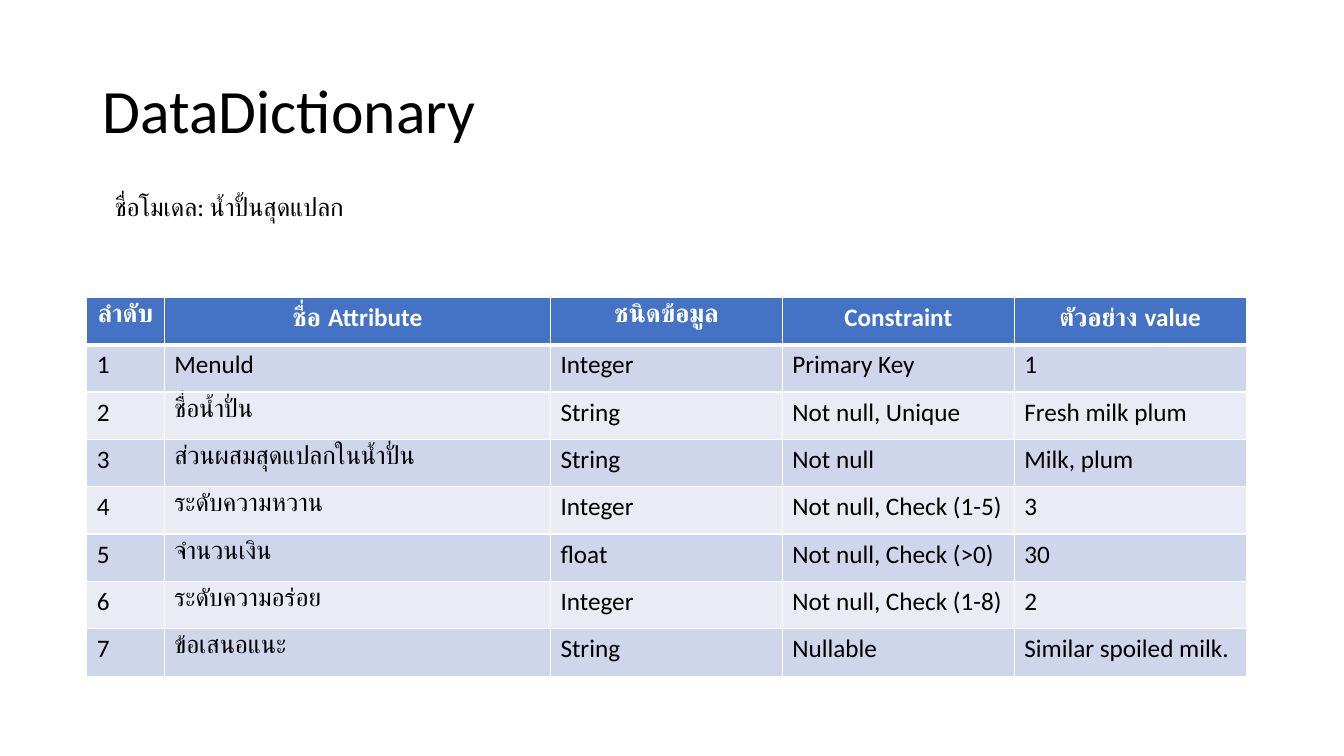
"""Build the DataDictionary slide with its table of model attributes."""
from lxml.etree import SubElement
from pptx import Presentation
from pptx.dml.color import RGBColor
from pptx.enum.text import MSO_ANCHOR, PP_ALIGN
from pptx.oxml.ns import qn
from pptx.util import Inches, Pt

HEADER_FILL = "4472C4"
BAND_FILLS = ["E9EBF5", "CFD5EA"]
COLUMN_WIDTHS = [0.77, 3.83, 2.3, 2.3, 2.3]
ROW_HEIGHT = 0.47
ROWS = [
    ["ลำดับ", "ชื่อ Attribute", "ชนิดข้อมูล", "Constraint", "ตัวอย่าง value"],
    ["1", "Menuld", "Integer", "Primary Key", "1"],
    ["2", "ชื่อน้ำปั่น", "String", "Not null, Unique", "Fresh milk plum"],
    ["3", "ส่วนผสมสุดแปลกในน้ำปั่น", "String", "Not null", "Milk, plum"],
    ["4", "ระดับความหวาน", "Integer", "Not null, Check (1-5)", "3"],
    ["5", "จำนวนเงิน", "float", "Not null, Check (>0)", "30"],
    ["6", "ระดับความอร่อย", "Integer", "Not null, Check (1-8)", "2"],
    ["7", "ข้อเสนอแนะ", "String", "Nullable", "Similar spoiled milk."],
]


def color(value):
    return RGBColor.from_string(value)


def write(frame, text, size, ink="000000", bold=False):
    paragraph = frame.paragraphs[0]
    span = paragraph.add_run()
    span.text = text
    span.font.color.rgb = color(ink)
    for name, value in {"name": "Calibri", "size": Pt(size), "bold": bold}.items():
        setattr(span.font, name, value)
    return paragraph


deck = Presentation()
deck.slide_width = Inches(13.33)
deck.slide_height = Inches(7.5)
page = deck.slides.add_slide(deck.slide_layouts[6])

title = page.shapes.add_textbox(Inches(0.92), Inches(0.4), Inches(11.5), Inches(1.45)).text_frame
title.word_wrap = True
title.vertical_anchor = MSO_ANCHOR.MIDDLE
write(title, "DataDictionary", 44).line_spacing = 0.9

table = page.shapes.add_table(
    len(ROWS), len(COLUMN_WIDTHS), Inches(0.86), Inches(2.95),
    Inches(sum(COLUMN_WIDTHS)), Inches(ROW_HEIGHT * len(ROWS)),
).table
for column, width in zip(table.columns, COLUMN_WIDTHS):
    column.width = Inches(width)

for row_number, texts in enumerate(ROWS):
    is_header = row_number == 0
    table.rows[row_number].height = Inches(ROW_HEIGHT)
    for column_number, text in enumerate(texts):
        cell = table.cell(row_number, column_number)
        properties = cell._tc.get_or_add_tcPr()
        for side in ["lnL", "lnR", "lnT", "lnB"]:
            thick = (is_header and side == "lnB") or (row_number == 1 and side == "lnT")
            border = SubElement(properties, qn(f"a:{side}"), w=str(Pt(3 if thick else 1)))
            SubElement(SubElement(border, qn("a:solidFill")), qn("a:srgbClr"), val="FFFFFF")
        cell.fill.solid()
        cell.fill.fore_color.rgb = color(HEADER_FILL if is_header else BAND_FILLS[row_number % 2])
        paragraph = write(cell.text_frame, text, 18, "FFFFFF" if is_header else "000000", is_header)
        paragraph.alignment = PP_ALIGN.CENTER if is_header else PP_ALIGN.LEFT

model = page.shapes.add_textbox(Inches(1.04), Inches(1.85), Inches(4.09), Inches(0.4)).text_frame
model.word_wrap = True
write(model, "ชื่อโมเดล: น้ำปั้นสุดแปลก", 18)

deck.save("out.pptx")
